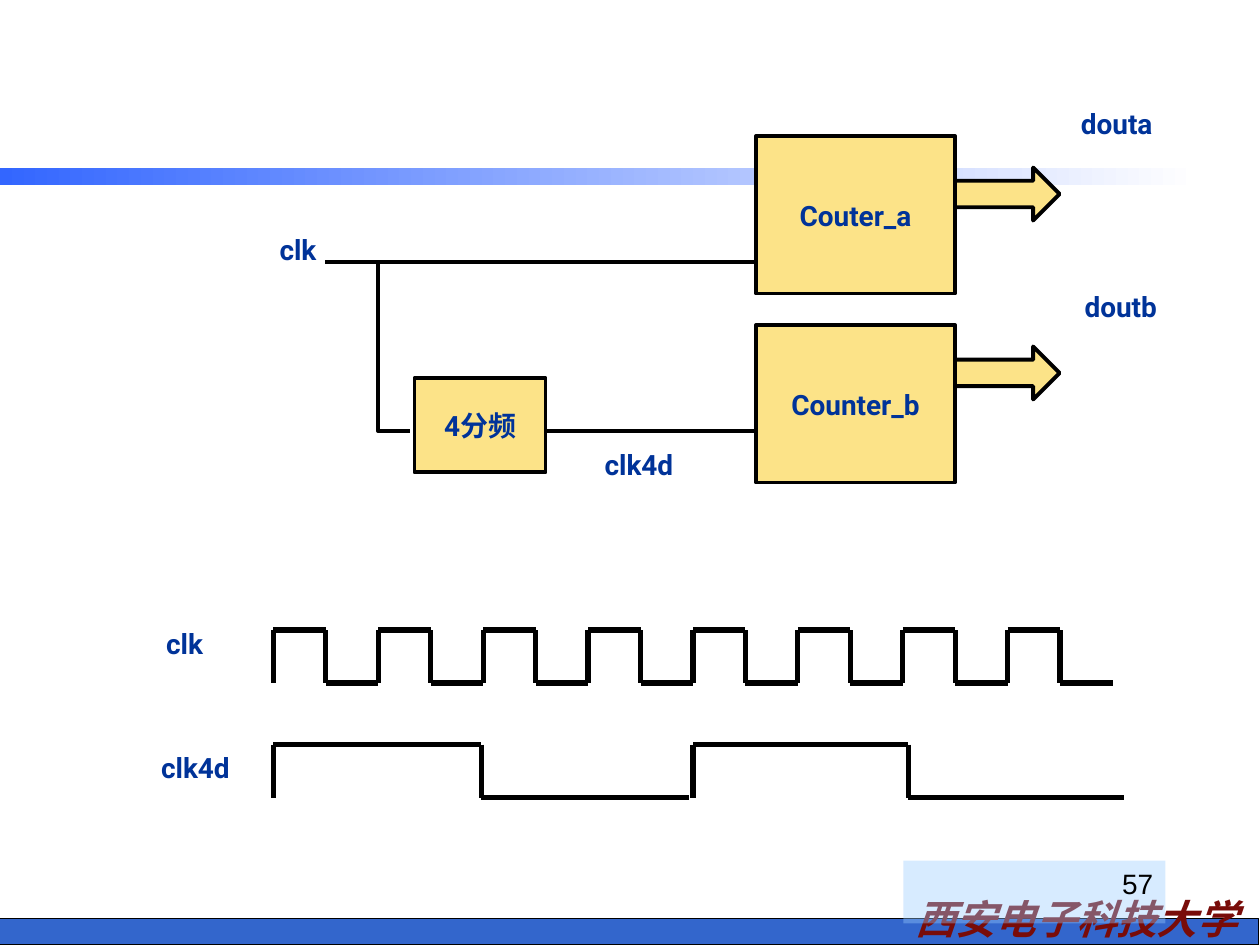
import pptx
import pptx.util
import pptx.dml.color
import pptx.enum.shapes
import pptx.enum.text
import pptx.oxml.ns
from lxml import etree

Inches = pptx.util.Inches
Pt = pptx.util.Pt
Shape = pptx.enum.shapes.MSO_SHAPE
Align = pptx.enum.text.PP_ALIGN
Anchor = pptx.enum.text.MSO_ANCHOR
qn = pptx.oxml.ns.qn

COLORS = {
    "ink": "003399", "line": "000000", "block": "FCE388", "bar": "3366CC",
    "fade": "3366FF", "white": "FFFFFF", "badge": "99CCFF", "school": "790C09",
}
HAN = "Noto Sans CJK SC"
LABEL = {"name": "Roboto", "size": Pt(16), "bold": True}
NUMBER = {"name": "Arial", "size": Pt(16)}
SCHOOL = {"name": HAN, "size": Pt(23), "bold": True, "italic": True}


def color(key):
    return pptx.dml.color.RGBColor.from_string(COLORS[key])


def apply(item, values):
    for key, value in values.items():
        setattr(item, key, value)


def stroke(item, width):
    item.line.color.rgb = color("line")
    item.line.width = Pt(width)


def write(shape, text, style, tint, align, anchor=Anchor.TOP, wrap=False):
    frame = shape.text_frame
    apply(frame, {"word_wrap": wrap, "vertical_anchor": anchor})
    para = frame.paragraphs[0]
    para.alignment = align
    run = para.add_run()
    run.text = text
    apply(run.font, style)
    run.font.color.rgb = color(tint)
    etree.SubElement(run.font._element, qn("a:ea"), typeface=HAN)
    return para


def form(shapes, kind, box, fill, width=0):
    shape = shapes.add_shape(kind, *map(Inches, box))
    shape.shadow.inherit = False
    if fill:
        shape.fill.solid()
        shape.fill.fore_color.rgb = color(fill)
    if width:
        stroke(shape, width)
    else:
        shape.line.fill.background()
    return shape


def wire(shapes, start, end, width=2.25):
    line = shapes.add_connector(
        pptx.enum.shapes.MSO_CONNECTOR.STRAIGHT, *map(Inches, start + end))
    stroke(line, width)
    etree.SubElement(line._element.spPr, qn("a:effectLst"))


def label(shapes, text, box):
    area = shapes.add_textbox(*map(Inches, box))
    write(area, text, LABEL, "ink", Align.JUSTIFY)


def block(shapes, text, box):
    shape = form(shapes, Shape.RECTANGLE, box, "block", 2.25)
    write(shape, text, LABEL, "ink", Align.CENTER, Anchor.MIDDLE)


def footer(shapes, left, top, width, height):
    form(shapes, Shape.RECTANGLE, (left, top, width, height), "bar", 0.75)
    area = shapes.add_textbox(
        *map(Inches, (left + 6.98, top - 0.24, 3.15, 0.49)))
    para = write(area, "西安电子科技大学", SCHOOL, "school", Align.CENTER, wrap=True)
    para.space_before = Pt(0)


def band(shapes, box):
    shape = form(shapes, Shape.RECTANGLE, box, None)
    shape.fill.gradient()
    shape.fill.gradient_angle = 0
    for stop, key, place in zip(
            shape.fill.gradient_stops, ("fade", "white"), (0, 1)):
        stop.color.rgb = color(key)
        stop.position = place


def badge(shapes, text, box):
    shape = form(shapes, Shape.RECTANGLE, box, "badge")
    tint = shape._element.spPr.find(qn("a:solidFill"))[0]
    etree.SubElement(tint, qn("a:alpha"), val="39000")
    write(shape, text, NUMBER, "line", Align.RIGHT, wrap=True)


def circuit(shapes, left, top, width, height):
    right = left + width
    side = right - 2.41
    edge = right - 0.83
    for text, drop in (("Couter_a", 0), ("Counter_b", 1.5)):
        block(shapes, text, (side, top + drop, 1.58, 1.25))
    block(shapes, "4分频", (left + 0.71, top + 1.92, 1.04, 0.75))

    low = top + height - 0.41
    wire(shapes, (left, top + 1), (side, top + 1))
    path = shapes.build_freeform(
        Inches(left + 0.42), Inches(top + 1), scale=1.0)
    path.add_line_segments(
        [(Inches(left + 0.42), Inches(low)),
         (Inches(left + 0.67), Inches(low))], close=False)
    branch = path.convert_to_shape()
    branch.shadow.inherit = False
    branch.fill.background()
    stroke(branch, 2.25)
    wire(shapes, (left + 1.75, low), (side, low))

    for drop in (0.25, 1.67):
        form(shapes, Shape.RIGHT_ARROW,
             (edge, top + drop, 0.83, 0.42), "block", 2.25)
    for text, over, drop, wide in (
            ("clk", -0.46, 0.72, 0.52), ("clk4d", 2.12, 2.42, 0.78),
            ("douta", 5.9, -0.28, 0.85), ("doutb", 5.93, 1.17, 0.86)):
        label(shapes, text, (left + over, top + drop, wide, 0.37))


def pulse(shapes, left, top, half, height):
    group = shapes.add_group_shape().shapes
    mid, right, low = left + half, left + 2 * half, top + height
    for start, end in (
            ((left, top), (mid, top)), ((mid, low), (right, low)),
            ((mid, top), (mid, low)), ((left, top), (left, low))):
        wire(group, start, end, 3)


def timing(shapes, left, top, width, height):
    count, rise = 8, 0.42
    step = width / count
    for index in range(count):
        pulse(shapes, left + index * step, top, step / 2, rise)
    low = top + height - rise
    for over, half in ((0, 1.65), (width / 2, 1.71)):
        pulse(shapes, left + over, low, half, rise)
    label(shapes, "clk", (left - 0.95, top - 0.08, 0.52, 0.37))
    label(shapes, "clk4d", (left - 0.99, low, 0.78, 0.37))


def main():
    deck = pptx.Presentation()
    apply(deck, {"slide_width": Inches(10), "slide_height": Inches(7.5)})
    shapes = deck.slides.add_slide(deck.slide_layouts[6]).shapes
    footer(shapes, -0.01, 7.29, 10, 0.21)
    band(shapes, (0, 1.33, 9.51, 0.14))
    badge(shapes, "57", (7.17, 6.83, 2.08, 0.5))
    circuit(shapes, 2.58, 1.08, 5.83, 2.75)
    timing(shapes, 2.17, 5, 6.66, 1.33)
    deck.save("out.pptx")


if __name__ == "__main__":
    main()
